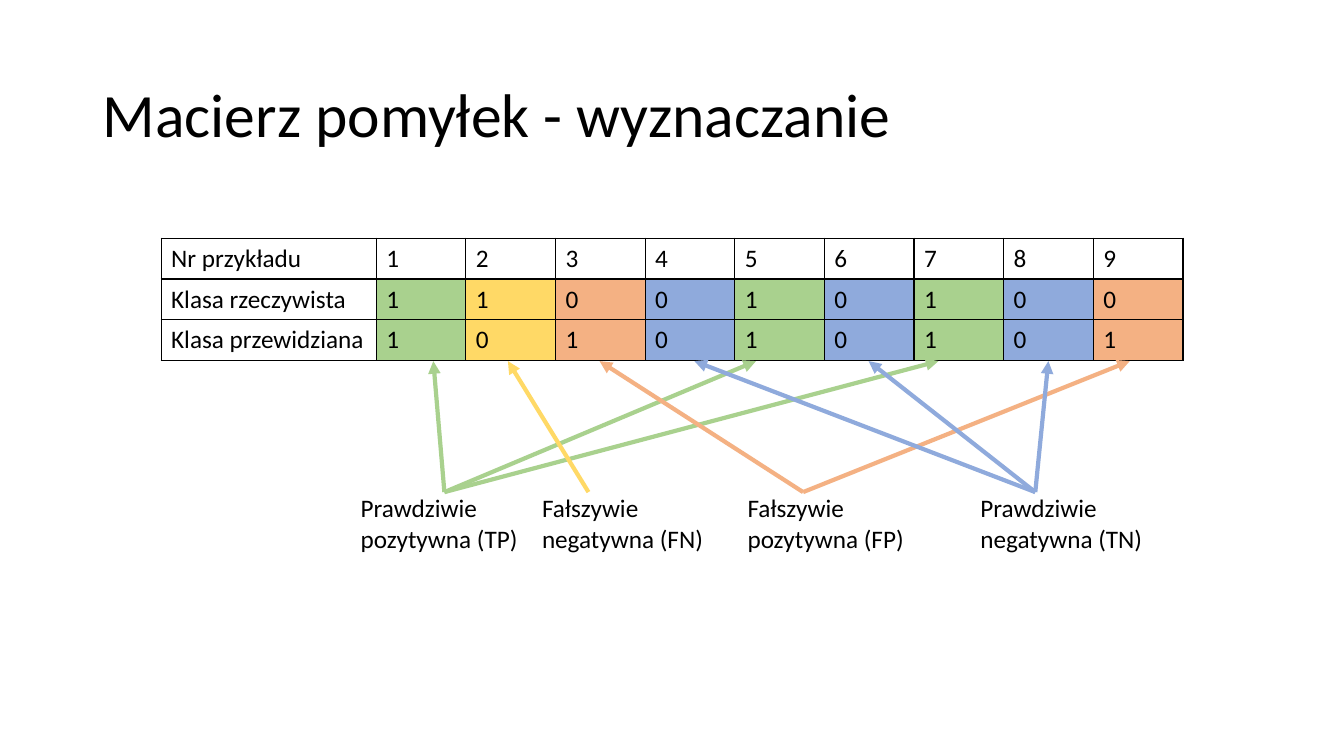
"""Build the slide showing how the confusion matrix is determined."""
from dataclasses import dataclass

from lxml import etree
from pptx import Presentation
from pptx.dml.color import RGBColor
from pptx.enum.shapes import MSO_CONNECTOR
from pptx.enum.text import MSO_ANCHOR
from pptx.oxml.ns import qn
from pptx.slide import Slide
from pptx.table import _Cell
from pptx.text.text import TextFrame
from pptx.util import Cm, Pt

FONT = "Calibri"
COLORS = {
    "text": "000000",
    "border": "000000",
    "TP": "A9D18E",
    "FN": "FFD966",
    "FP": "F4B183",
    "TN": "8FAADC",
}
OUTCOME_OF = {(1, 1): "TP", (1, 0): "FN", (0, 1): "FP", (0, 0): "TN"}
ACTUAL = [1, 1, 0, 0, 1, 0, 1, 0, 0]
PREDICTED = [1, 0, 1, 0, 1, 0, 1, 0, 1]

TABLE_LEFT, TABLE_TOP = 4.06, 6.0
HEADER_WIDTH, EXAMPLE_WIDTH, ROW_HEIGHT = 5.42, 2.26, 1.03
LABEL_TOP, LABEL_WIDTH, LABEL_HEIGHT = 12.29, 4.98, 1.8
ARROW_START_Y, ARROW_TIP_Y = 12.4, 9.1


@dataclass(frozen=True)
class Outcome:
    """A kind of result, with its label and arrows to examples (cm)."""

    key: str
    label: str
    label_left: float
    arrow_x: float
    tips_x: tuple[float, ...]


OUTCOMES = [
    Outcome("TP", "Prawdziwie pozytywna (TP)", 8.84, 11.2, (10.92, 19.05, 23.65)),
    Outcome("FN", "Fałszywie negatywna (FN)", 13.41, 14.83, (12.8,)),
    Outcome("FP", "Fałszywie pozytywna (FP)", 18.59, 20.24, (15.11, 28.47)),
    Outcome("TN", "Prawdziwie negatywna (TN)", 24.46, 26.09, (17.5, 21.89, 26.42)),
]


def rgb(name: str) -> RGBColor:
    """Return the named colour."""
    return RGBColor.from_string(COLORS[name])


def write(frame: TextFrame, text: str, size: float = 18) -> None:
    """Put one styled run into a text frame."""
    run = frame.paragraphs[0].add_run()
    run.text = text
    run.font.name = FONT
    run.font.size = Pt(size)
    run.font.color.rgb = rgb("text")


def add_text(slide: Slide, text: str, left: float, top: float,
             width: float, height: float, size: float = 18) -> TextFrame:
    """Add a wrapping text box."""
    box = slide.shapes.add_textbox(Cm(left), Cm(top), Cm(width), Cm(height))
    box.text_frame.word_wrap = True
    write(box.text_frame, text, size)
    return box.text_frame


def add_borders(cell: _Cell) -> None:
    """Outline a cell on all four sides."""
    properties = cell._tc.get_or_add_tcPr()
    for side in ("lnL", "lnR", "lnT", "lnB"):
        line = etree.SubElement(properties, qn(f"a:{side}"), w=str(Pt(1)))
        fill = etree.SubElement(line, qn("a:solidFill"))
        etree.SubElement(fill, qn("a:srgbClr"), val=COLORS["border"])


def add_examples(slide: Slide) -> None:
    """Add the table of examples, coloured by outcome."""
    rows = [
        ("Nr przykładu", range(1, len(ACTUAL) + 1)),
        ("Klasa rzeczywista", ACTUAL),
        ("Klasa przewidziana", PREDICTED),
    ]
    widths = [HEADER_WIDTH] + [EXAMPLE_WIDTH] * len(ACTUAL)
    table = slide.shapes.add_table(
        len(rows), len(widths), Cm(TABLE_LEFT), Cm(TABLE_TOP),
        Cm(sum(widths)), Cm(ROW_HEIGHT * len(rows))).table
    table.first_row = table.horz_banding = False
    for column, width in zip(table.columns, widths):
        column.width = Cm(width)
    for r, (header, values) in enumerate(rows):
        table.rows[r].height = Cm(ROW_HEIGHT)
        for c, value in enumerate([header, *values]):
            cell = table.cell(r, c)
            write(cell.text_frame, str(value))
            add_borders(cell)
            if r and c:
                cell.fill.solid()
                cell.fill.fore_color.rgb = rgb(
                    OUTCOME_OF[ACTUAL[c - 1], PREDICTED[c - 1]])
            else:
                cell.fill.background()


def add_arrow(slide: Slide, start_x: float, tip_x: float, color: str) -> None:
    """Draw an arrow from a label up to the table."""
    arrow = slide.shapes.add_connector(
        MSO_CONNECTOR.STRAIGHT, Cm(start_x), Cm(ARROW_START_Y),
        Cm(tip_x), Cm(ARROW_TIP_Y))
    arrow.line.color.rgb = rgb(color)
    arrow.line.width = Pt(3)
    etree.SubElement(arrow.line._get_or_add_ln(), qn("a:tailEnd"), type="triangle")
    etree.SubElement(arrow._element.spPr, qn("a:effectLst"))


def add_outcome(slide: Slide, outcome: Outcome) -> None:
    """Add the arrows and label of one outcome."""
    for tip_x in outcome.tips_x:
        add_arrow(slide, outcome.arrow_x, tip_x, outcome.key)
    add_text(slide, outcome.label, outcome.label_left, LABEL_TOP,
             LABEL_WIDTH, LABEL_HEIGHT)


def main() -> None:
    """Build and save the presentation."""
    presentation = Presentation()
    presentation.slide_width, presentation.slide_height = Cm(33.87), Cm(19.05)
    slide = presentation.slides.add_slide(presentation.slide_layouts[6])
    title = add_text(slide, "Macierz pomyłek - wyznaczanie",
                     2.34, 1.12, 29.21, 3.68, size=44)
    title.vertical_anchor = MSO_ANCHOR.MIDDLE
    title.paragraphs[0].line_spacing = 0.9
    add_examples(slide)
    for outcome in OUTCOMES:
        add_outcome(slide, outcome)
    presentation.save("out.pptx")


main()
